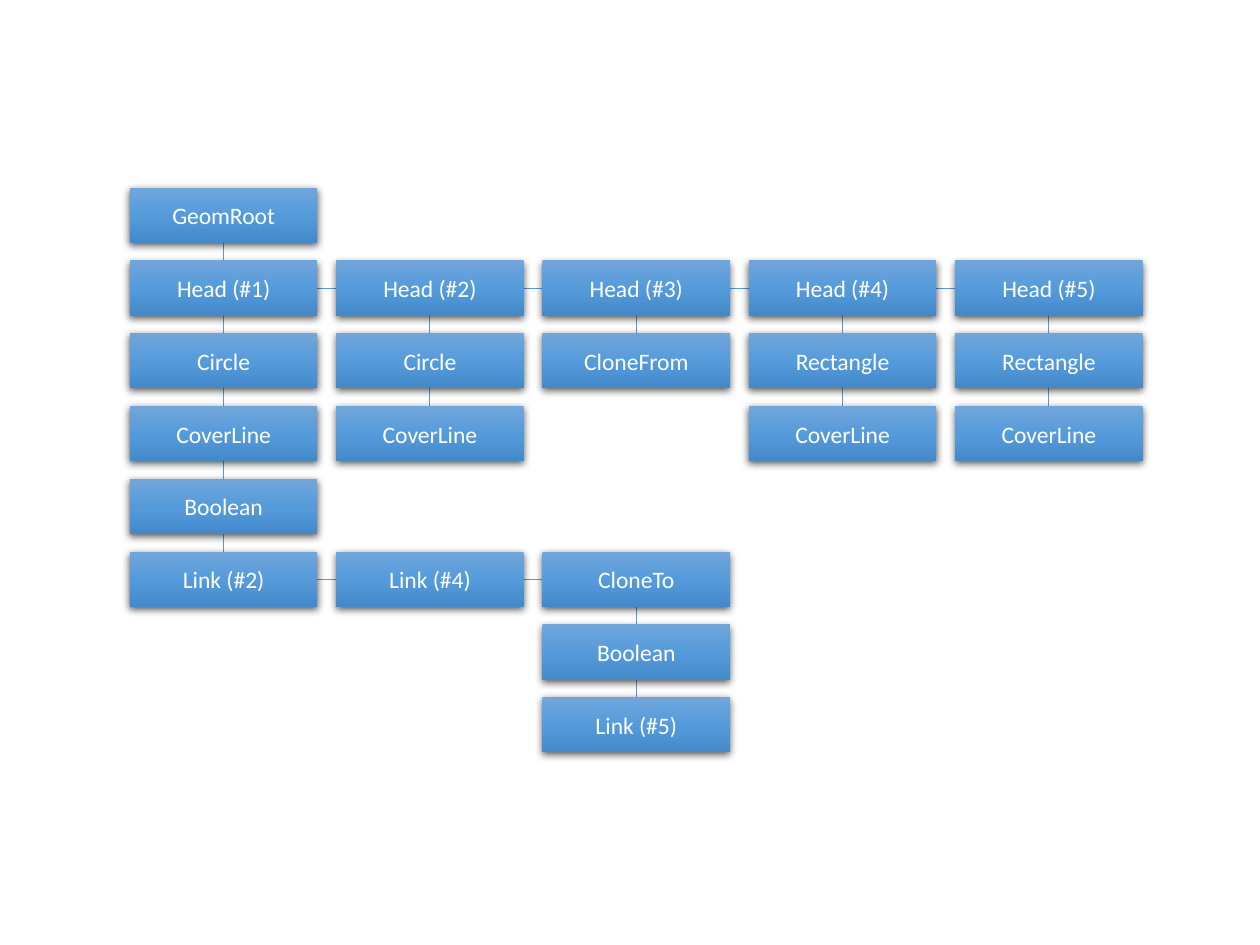
from copy import deepcopy

from lxml.etree import SubElement
from pptx import Presentation
from pptx.dml.color import RGBColor
from pptx.enum.shapes import MSO_CONNECTOR, MSO_SHAPE
from pptx.enum.text import MSO_ANCHOR, PP_ALIGN
from pptx.oxml.ns import qn
from pptx.util import Pt

BOX_WIDTH, BOX_HEIGHT = 107.2, 31.6
COLUMN_STEP, ROW_STEP = 117.9, 41.6
TREE_LEFT, TREE_TOP = 74.2, 107.2

# (column, first row, labels from top to bottom)
BRANCHES = [
    (0, 0, ["GeomRoot", "Head (#1)", "Circle", "CoverLine", "Boolean", "Link (#2)"]),
    (1, 1, ["Head (#2)", "Circle", "CoverLine"]),
    (1, 5, ["Link (#4)"]),
    (2, 1, ["Head (#3)", "CloneFrom"]),
    (2, 5, ["CloneTo", "Boolean", "Link (#5)"]),
    (3, 1, ["Head (#4)", "Rectangle", "CoverLine"]),
    (4, 1, ["Head (#5)", "Rectangle", "CoverLine"]),
]
# (row, last column) of the sibling chains, which start at column 0
SIBLING_ROWS = [(1, 4), (5, 2)]

GRADIENT = [(0, "71A6DB"), (0.5, "559BDB"), (1, "448ACA")]
FRAME_FORMAT = {
    "word_wrap": True, "vertical_anchor": MSO_ANCHOR.MIDDLE,
    "margin_left": Pt(5.4), "margin_right": Pt(5.4),
    "margin_top": Pt(2.7), "margin_bottom": Pt(2.7),
}
FONT_FORMAT = {"name": "Calibri", "size": Pt(13.5)}


def set_color(color, value):
    """Give a colour format a hex value."""
    color.rgb = RGBColor.from_string(value)


def set_format(target, values):
    """Set each attribute named in values."""
    for name, value in values.items():
        setattr(target, name, value)


def fill_gradient(shape):
    """Fill a shape with the vertical blue gradient."""
    shape.fill.gradient()
    stop_list = shape._element.spPr.find(qn("a:gradFill")).find(qn("a:gsLst"))
    stop_list.insert(1, deepcopy(stop_list[0]))
    for stop, (position, value) in zip(shape.fill.gradient_stops, GRADIENT):
        stop.position = position
        set_color(stop.color, value)
    shape.fill.gradient_angle = 270


def add_shadow(shape):
    """Put a soft shadow below a shape."""
    shape.shadow.inherit = False
    effects = shape._element.spPr.find(qn("a:effectLst"))
    shadow = SubElement(effects, qn("a:outerShdw"), blurRad=str(Pt(4.5)),
                        dist=str(Pt(1.5)), dir="5400000", algn="ctr", rotWithShape="0")
    color = SubElement(shadow, qn("a:srgbClr"), val="000000")
    SubElement(color, qn("a:alpha"), val="63000")


def add_node(slide, left, top, label):
    """Draw one labelled box of the tree."""
    shape = slide.shapes.add_shape(MSO_SHAPE.RECTANGLE, Pt(left), Pt(top),
                                   Pt(BOX_WIDTH), Pt(BOX_HEIGHT))
    fill_gradient(shape)
    shape.line.fill.background()
    add_shadow(shape)
    set_format(shape.text_frame, FRAME_FORMAT)
    paragraph = shape.text_frame.paragraphs[0]
    paragraph.alignment = PP_ALIGN.CENTER
    run = paragraph.add_run()
    run.text = label
    set_format(run.font, FONT_FORMAT)
    set_color(run.font.color, "FFFFFF")


def add_link(slide, *ends):
    """Draw a thin line given its start and end coordinates."""
    connector = slide.shapes.add_connector(MSO_CONNECTOR.STRAIGHT, *map(Pt, ends))
    set_color(connector.line.color, "5B9BD5")
    connector.line.width = Pt(0.5)
    SubElement(connector._element.spPr, qn("a:effectLst"))


def add_tree(slide, left, top):
    """Draw the tree, links behind boxes, from its top left corner."""
    def corner(column, row):
        """Return the top left corner of a grid cell."""
        return left + column * COLUMN_STEP, top + row * ROW_STEP

    for row, last_column in SIBLING_ROWS:
        start, y = corner(0, row)
        end, y = corner(last_column, row)
        middle = y + BOX_HEIGHT / 2
        add_link(slide, start + BOX_WIDTH, middle, end, middle)
    for column, first_row, labels in BRANCHES:
        if len(labels) > 1:
            x, start = corner(column, first_row)
            x, end = corner(column, first_row + len(labels) - 1)
            center = x + BOX_WIDTH / 2
            add_link(slide, center, start + BOX_HEIGHT, center, end)
    for column, first_row, labels in BRANCHES:
        for row, label in enumerate(labels, first_row):
            add_node(slide, *corner(column, row), label)


presentation = Presentation()
presentation.slide_width, presentation.slide_height = Pt(720), Pt(540)
tree_slide = presentation.slides.add_slide(presentation.slide_layouts[6])
add_tree(tree_slide, TREE_LEFT, TREE_TOP)
presentation.save("out.pptx")
